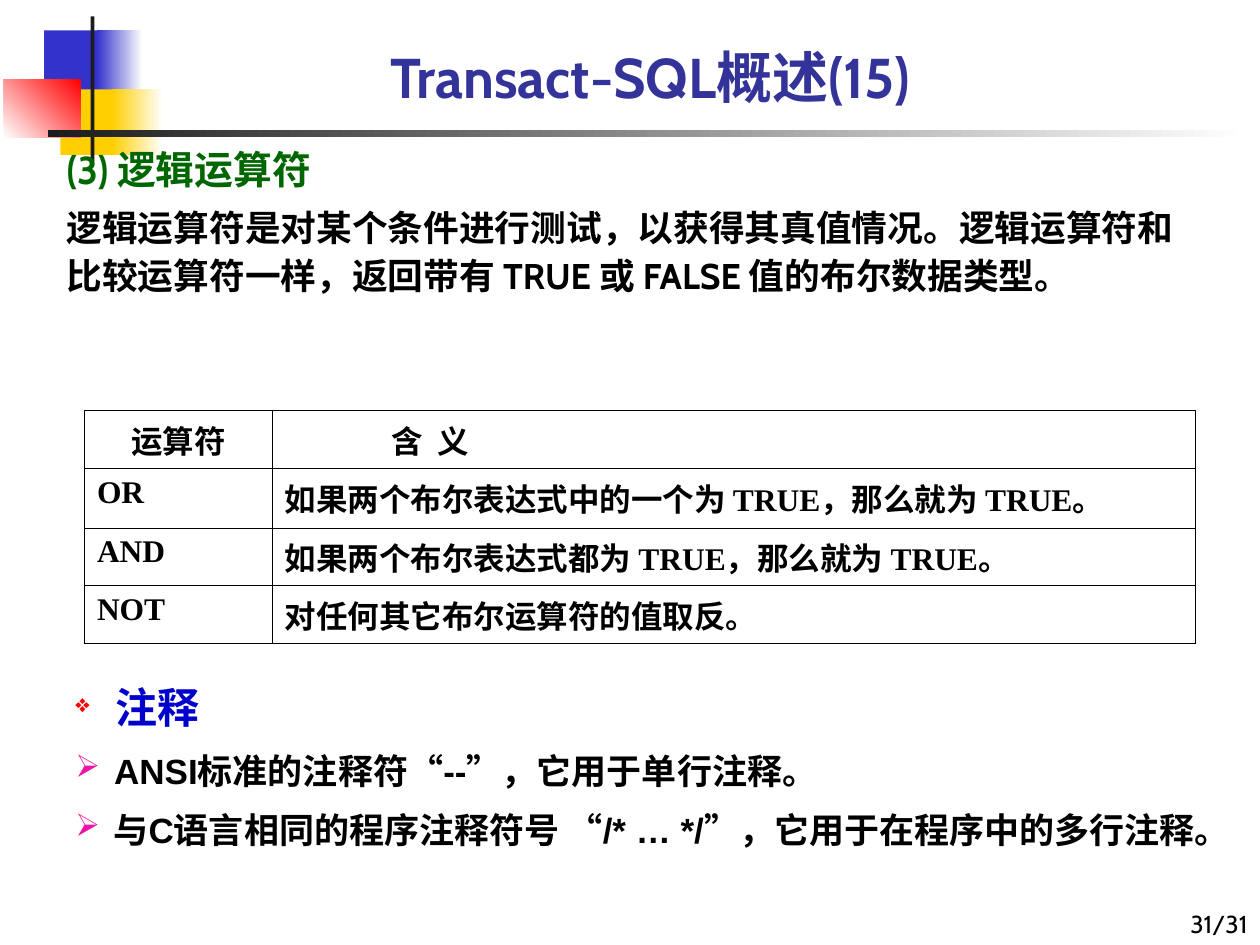
"""Build the Transact-SQL overview slide on logical operators and comments."""
from lxml import etree
from pptx import Presentation
from pptx.dml.color import RGBColor
from pptx.enum.shapes import MSO_SHAPE
from pptx.enum.text import MSO_ANCHOR, PP_ALIGN
from pptx.oxml.ns import qn
from pptx.util import Inches, Pt

RECTANGLE = MSO_SHAPE.RECTANGLE
TOP, MIDDLE, BOTTOM = MSO_ANCHOR.TOP, MSO_ANCHOR.MIDDLE, MSO_ANCHOR.BOTTOM
LEFT, CENTER, RIGHT = PP_ALIGN.LEFT, PP_ALIGN.CENTER, PP_ALIGN.RIGHT

COLORS = {
    "blue": "3333CC", "yellow": "FFCF01", "red": "FF0000", "ink": "1C1C1C",
    "white": "FFFFFF", "black": "000000", "title": "333399",
    "green": "006600", "heading": "0000CC", "pink": "ED13A4",
}

DECORATION = [
    ((0.35, 0.24, 0.48, 0.52), ["blue"], 0),
    ((0.77, 0.24, 0.36, 0.52), ["blue", "white"], 0),
    ((0.48, 0.71, 0.46, 0.52), ["yellow"], 0),
    ((0.89, 0.71, 0.4, 0.52), ["yellow", "white"], 0),
    ((0.03, 0.63, 0.61, 0.46), ["white", "red"], 45),
    ((0.72, 0.13, 0.03, 1.15), ["ink"], 0),
    ((0.38, 1.03, 9.51, 0.06), ["ink", "white"], 0),
]

PAGE_NUMBER = [dict(text="31/31", size=14, color="black", bold=False, align=RIGHT)]
TITLE = [dict(text="Transact-SQL概述(15)", size=32, color="title", align=CENTER)]
INTRO = [
    dict(text="(3) 逻辑运算符", size=22.2, color="green", spacing=1.1),
    dict(text="逻辑运算符是对某个条件进行测试，以获得其真值情况。逻辑运算符和"
              "比较运算符一样，返回带有 TRUE 或 FALSE 值的布尔数据类型。",
         size=20.4, color="black", spacing=1.1, before=5.5),
]
ARROW_ITEM = dict(size=20, color="black", font="Arial", spacing=1.2, before=5,
                  bullet=("➢", "pink", 90))
COMMENTS = [
    dict(text=" 注释", size=24, color="heading", font="Arial", bullet=("❖", "red", 60)),
    dict(ARROW_ITEM, text=" ANSI标准的注释符“--”，它用于单行注释。"),
    dict(ARROW_ITEM, text=" 与C语言相同的程序注释符号 “/* … */”，它用于在程序中的多行注释。"),
]
TEXT_BOXES = [
    ((7.92, 7, 2.08, 0.5), BOTTOM, 0.05, PAGE_NUMBER),
    ((0.9, 0.05, 8.52, 0.87), BOTTOM, 0.05, TITLE),
    ((0.43, 1.07, 9.06, 1.34), TOP, 0.05, INTRO),
    ((0.5, 5.14, 9.43, 1.88), MIDDLE, 0.08, COMMENTS),
]

OPERATORS = [
    ("运算符", "含  义"),
    ("OR", "如果两个布尔表达式中的一个为 TRUE，那么就为 TRUE。"),
    ("AND", "如果两个布尔表达式都为 TRUE，那么就为 TRUE。"),
    ("NOT", "对任何其它布尔运算符的值取反。"),
]
COLUMN_WIDTHS = [1.49, 7.33]
ROW_HEIGHTS = [0.46, 0.47, 0.46, 0.46]
MEANING_INSET = 0.95
BORDER_WIDTH = 0.4
BULLET_INDENT = 0.24


def rgb(name):
    return RGBColor.from_string(COLORS[name])


def add_block(slide, place, hues, angle):
    block = slide.shapes.add_shape(RECTANGLE, *map(Inches, place))
    block.shadow.inherit = False
    block.line.fill.background()
    if len(hues) == 1:
        block.fill.solid()
        block.fill.fore_color.rgb = rgb(hues[0])
        return
    block.fill.gradient()
    block.fill.gradient_angle = angle
    for position, (stop, hue) in enumerate(zip(block.fill.gradient_stops, hues)):
        stop.color.rgb = rgb(hue)
        stop.position = position


def add_bullet(paragraph, symbol, hue, percent):
    props = paragraph._p.get_or_add_pPr()
    props.set("marL", str(Inches(BULLET_INDENT)))
    props.set("indent", str(-Inches(BULLET_INDENT)))
    tint = etree.SubElement(props, qn("a:buClr"))
    etree.SubElement(tint, qn("a:srgbClr"), val=COLORS[hue])
    etree.SubElement(props, qn("a:buSzPct"), val=str(percent * 1000))
    etree.SubElement(props, qn("a:buChar"), char=symbol)


def write(paragraph, text, size, color, font="Cabin", bold=True, align=LEFT,
          spacing=None, before=None, bullet=None):
    if bullet:
        add_bullet(paragraph, *bullet)
    paragraph.alignment = align
    if spacing:
        paragraph.line_spacing = spacing
    if before:
        paragraph.space_before = Pt(before)
    run = paragraph.add_run()
    run.text = text
    run.font.name = font
    run.font.size = Pt(size)
    run.font.bold = bold
    run.font.color.rgb = rgb(color)


def add_text(slide, place, anchor, inset, paragraphs):
    frame = slide.shapes.add_textbox(*map(Inches, place)).text_frame
    frame.word_wrap = True
    frame.vertical_anchor = anchor
    frame.margin_top = frame.margin_bottom = Inches(inset)
    for index, content in enumerate(paragraphs):
        write(frame.add_paragraph() if index else frame.paragraphs[0], **content)


def add_borders(cell):
    props = cell._tc.get_or_add_tcPr()
    for index, side in enumerate(("lnL", "lnR", "lnT", "lnB")):
        border = etree.Element(qn("a:" + side), w=str(Pt(BORDER_WIDTH)))
        fill = etree.SubElement(border, qn("a:solidFill"))
        etree.SubElement(fill, qn("a:srgbClr"), val=COLORS["black"])
        props.insert(index, border)


def add_operator_table(slide):
    size = (sum(COLUMN_WIDTHS), sum(ROW_HEIGHTS))
    table = slide.shapes.add_table(len(OPERATORS), len(COLUMN_WIDTHS),
                                   *map(Inches, (0.67, 3.26, *size))).table
    table.first_row = table.horz_banding = False
    for column, width in zip(table.columns, COLUMN_WIDTHS):
        column.width = Inches(width)
    for row, height, texts in zip(table.rows, ROW_HEIGHTS, OPERATORS):
        row.height = Inches(height)
        for cell, text in zip(row.cells, texts):
            cell.fill.background()
            add_borders(cell)
            write(cell.text_frame.paragraphs[0], text, 18, "black", "Times New Roman")
    table.cell(0, 0).text_frame.paragraphs[0].alignment = CENTER
    table.cell(0, 1).margin_left = Inches(MEANING_INSET)


def main():
    deck = Presentation()
    deck.slide_width, deck.slide_height = Inches(10), Inches(7.5)
    slide = deck.slides.add_slide(deck.slide_layouts[6])
    for block in DECORATION:
        add_block(slide, *block)
    for box in TEXT_BOXES:
        add_text(slide, *box)
    add_operator_table(slide)
    deck.save("out.pptx")


if __name__ == "__main__":
    main()
